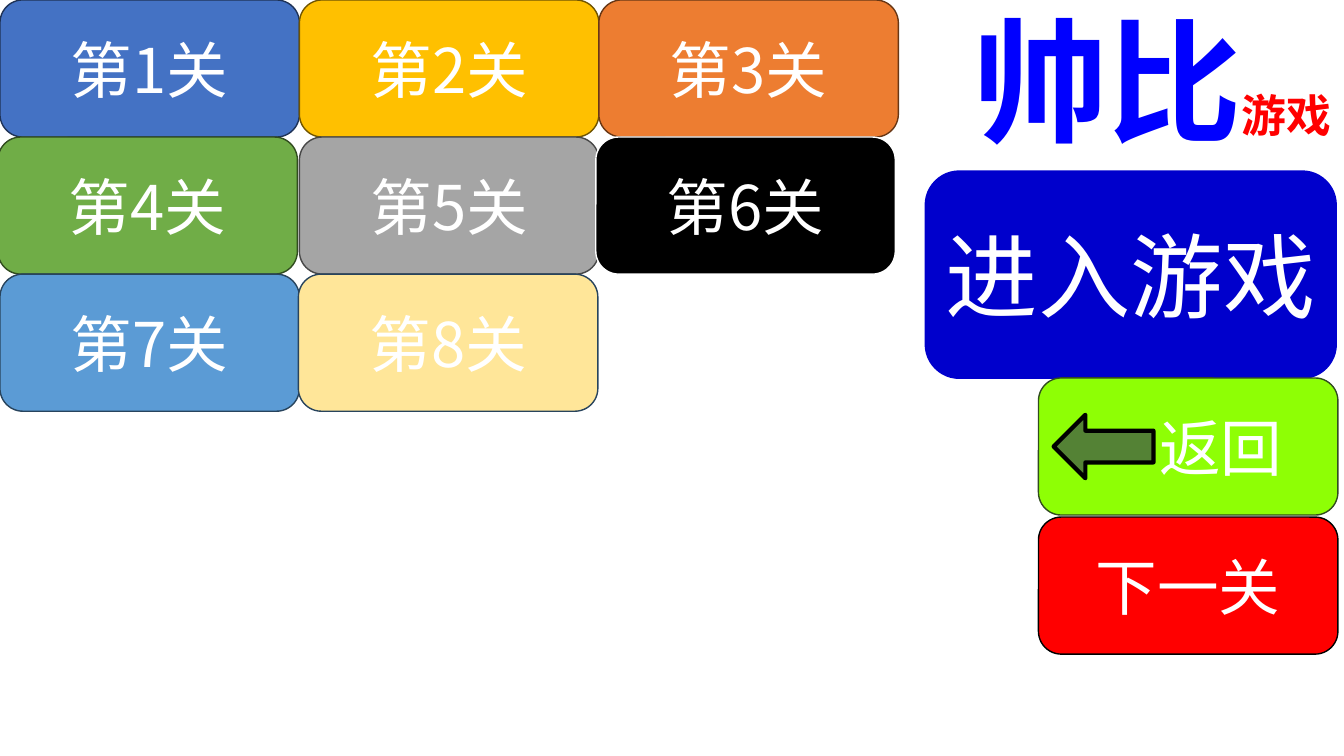
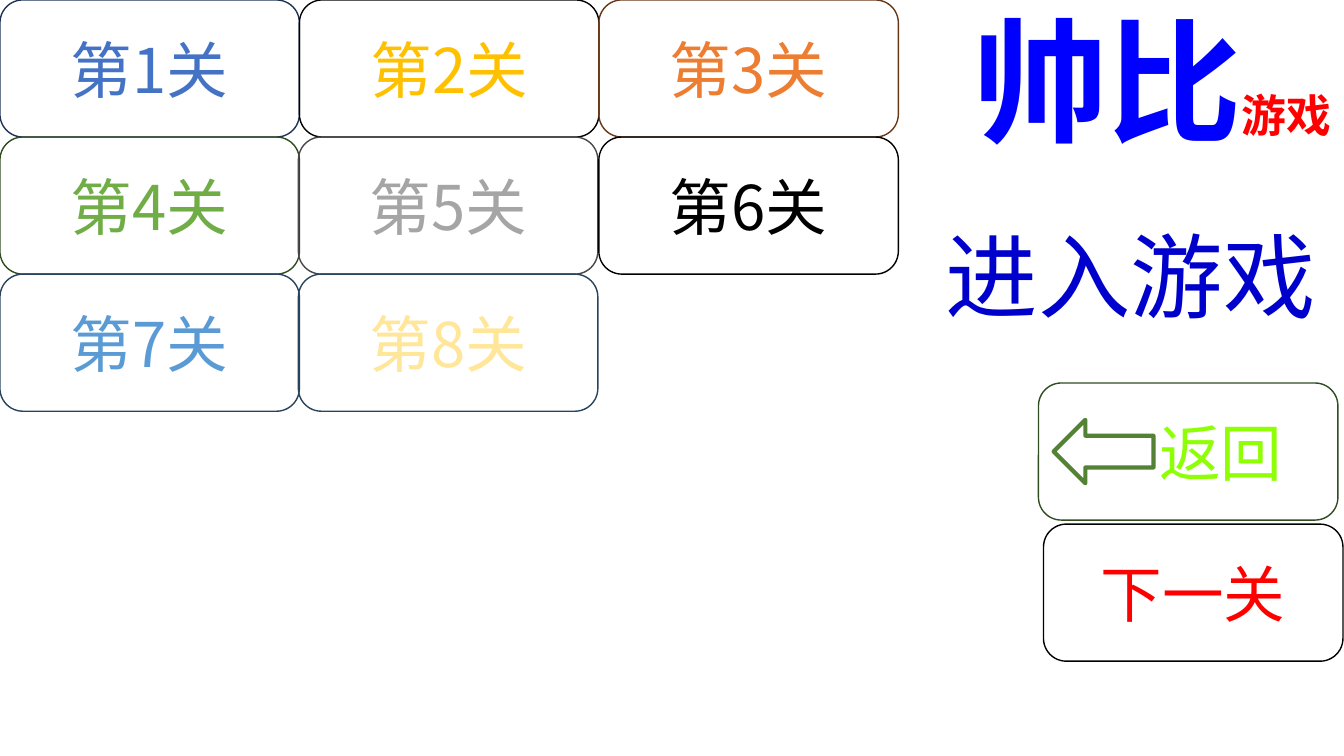
"""Build a filled and an outlined version of the game's level menu."""
from dataclasses import dataclass

from pptx import Presentation, util as u
from pptx.dml.color import RGBColor
from pptx.enum import shapes, text
from pptx.oxml.ns import qn


@dataclass(frozen=True)
class Theme:
    font: str = "Noto Sans CJK SC"
    logo_font: str = "Noto Sans CJK JP"
    white: str = "FFFFFF"
    logo: str = "0000FF"
    logo_note: str = "FF0000"
    enter: str = "0000CC"
    back: str = "8EFF05"
    back_line: str = "314C1F"
    next: str = "FF0000"
    black: str = "000000"
    arrow: str = "548235"
    logo_size: int = 96
    note_size: int = 32
    enter_size: int = 66
    button_size: int = 44
    thin: int = 1
    thick: int = 3


T = Theme()
WIDTH, HEIGHT = 13.33, 7.5
COL, ROW, COLUMNS = 2.97, 1.36, 3
TITLE_BOX = (9.54, -0.07, 3.78, 1.72)
ENTER_BOX = (9.17, 1.69, 4.09, 2.07)
BACK_LEFT, BACK_INDENT = 10.3, 0.75
ARROW_OFFSET, ARROW_SIZE = (0.15, 0.365), (0.99, 0.63)

TITLE = [("帅比", T.logo_font, T.logo_size, T.logo),
         ("游戏", T.font, T.note_size, T.logo_note)]
LEVELS = [("第1关", "4472C4", "1E3256"), ("第2关", "FFC000", "705400"),
          ("第3关", "ED7D31", "683715"), ("第4关", "70AD47", "314C1F"),
          ("第5关", "A5A5A5", "484848"), ("第6关", "000000", "FFFFFF"),
          ("第7关", "5B9BD5", "28445D"), ("第8关", "FFE699", "28445D")]
ENTER, BACK, NEXT = "进入游戏", "返回", "下一关"
MENUS = [
    {"filled": True, "nudge": {3: -0.02, 5: -0.03, 7: -0.01}, "lines": {},
     "back_top": 3.75, "next_at": (10.3, 5.13)},
    {"filled": False, "nudge": {4: -0.01, 7: -0.01},
     "lines": {1: T.black, 5: T.black},
     "back_top": 3.8, "next_at": (10.35, 5.2)},
]


def add_run(p, words, font, size, color, bold=False):
    r = p.add_run()
    r.text = words
    r.font.name, r.font.size, r.font.bold = font, u.Pt(size), bold
    r.font.color.rgb = RGBColor.from_string(color)
    ea = r._r.get_or_add_rPr().makeelement(qn("a:ea"), {"typeface": font})
    r.font._element.find(qn("a:latin")).addnext(ea)


def add_box(parent, kind, box, fill, line, weight=T.thin):
    sp = parent.add_shape(kind, *map(u.Inches, box))
    sp.shadow.inherit = False
    if fill:
        sp.fill.solid()
        sp.fill.fore_color.rgb = RGBColor.from_string(fill)
    else:
        sp.fill.background()
    if line:
        sp.line.color.rgb = RGBColor.from_string(line)
        sp.line.width = u.Pt(weight)
    else:
        sp.line.fill.background()
    return sp


def add_button(parent, words, box, color, line, filled,
               size=T.button_size, indent=0.1):
    sp = add_box(parent, shapes.MSO_SHAPE.ROUNDED_RECTANGLE, box,
                 color if filled else None, line)
    tf = sp.text_frame
    tf.word_wrap = True
    tf.margin_left = u.Inches(indent)
    tf.vertical_anchor = text.MSO_ANCHOR.MIDDLE
    p = tf.paragraphs[0]
    p.alignment = text.PP_ALIGN.CENTER
    add_run(p, words, T.font, size, T.white if filled else color)


def add_title(s):
    tf = s.shapes.title.text_frame
    tf.auto_size = text.MSO_AUTO_SIZE.NONE
    tf.word_wrap = False
    tf.vertical_anchor = text.MSO_ANCHOR.TOP
    p = tf.paragraphs[0]
    p.alignment = text.PP_ALIGN.CENTER
    for part in TITLE:
        add_run(p, *part, bold=True)


def add_back(s, top, filled):
    group = s.shapes.add_group_shape().shapes
    add_button(group, BACK, (BACK_LEFT, top, COL, ROW), T.back, T.back_line,
               filled, indent=BACK_INDENT)
    dx, dy = ARROW_OFFSET
    arrow = add_box(group, shapes.MSO_SHAPE.RIGHT_ARROW,
                    (BACK_LEFT + dx, top + dy, *ARROW_SIZE),
                    T.arrow if filled else None,
                    T.black if filled else T.arrow, T.thick)
    arrow.rotation = 180


def add_menu(prs, layout, menu):
    s = prs.slides.add_slide(layout)
    filled = menu["filled"]
    add_title(s)
    for i, (words, color, line) in enumerate(LEVELS):
        row, col = divmod(i, COLUMNS)
        left = col * COL + menu["nudge"].get(i, 0)
        add_button(s.shapes, words, (left, row * ROW, COL, ROW), color,
                   menu["lines"].get(i, line), filled)
    add_button(s.shapes, ENTER, ENTER_BOX, T.enter, None, filled, T.enter_size)
    add_button(s.shapes, NEXT, (*menu["next_at"], COL, ROW), T.next, T.black,
               filled)
    add_back(s, menu["back_top"], filled)


prs = Presentation()
prs.slide_width, prs.slide_height = u.Inches(WIDTH), u.Inches(HEIGHT)
layout = prs.slide_layouts.get_by_name("Title Only")
title = layout.placeholders[0]
title.left, title.top, title.width, title.height = map(u.Inches, TITLE_BOX)
for menu in MENUS:
    add_menu(prs, layout, menu)
prs.save("out.pptx")
